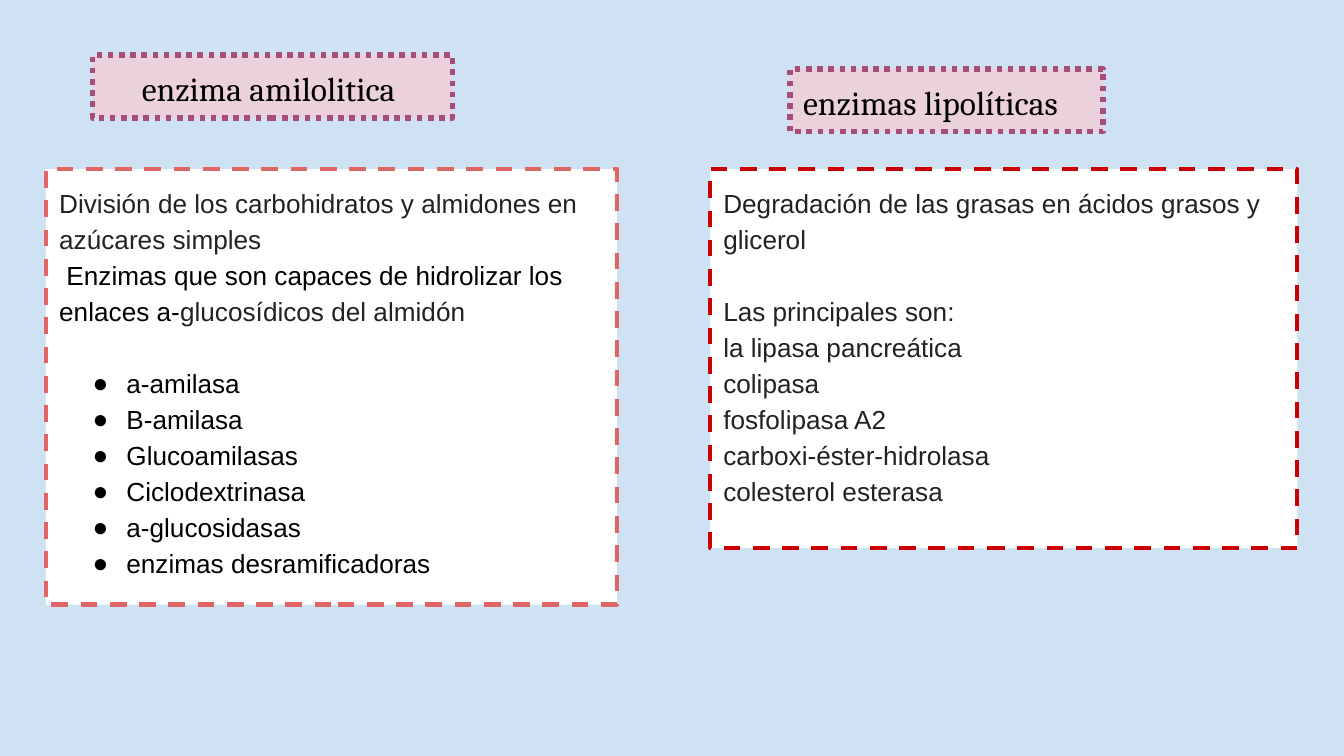
import pptx
import pptx.util
import pptx.dml.color
import pptx.enum.dml
import pptx.enum.shapes
import pptx.enum.text
import pptx.oxml.ns
from dataclasses import dataclass
from lxml import etree
from pptx.util import Cm, Pt

ALIGN = pptx.enum.text.PP_ALIGN
DASH = pptx.enum.dml.MSO_LINE


@dataclass(frozen=True)
class Theme:
    background: str = "CFE2F3"
    panel: str = "FFFFFF"
    label: str = "EAD1DC"
    label_line: str = "A64D79"
    starch_line: str = "E06666"
    fat_line: str = "CC0000"
    black: str = "000000"
    gray: str = "222222"
    title_font: str = "Cambria"
    body_font: str = "Arial"
    title_size: float = 18
    body_size: float = 14
    line_spacing: float = 1.15
    blank_line: float = 19.3


THEME = Theme()


def color(value):
    return pptx.dml.color.RGBColor.from_string(value)


def set_values(target, values):
    for name, value in values.items():
        setattr(target, name, value)


def add_box(slide, box, fill, line, width, dash):
    """Add a filled, outlined rectangle and return its text frame."""
    shape = slide.shapes.add_shape(
        pptx.enum.shapes.MSO_SHAPE.RECTANGLE, *(Cm(length) for length in box))
    shape.shadow.inherit = False
    shape.fill.solid()
    shape.fill.fore_color.rgb = color(fill)
    shape.line.color.rgb = color(line)
    set_values(shape.line, {"width": Pt(width), "dash_style": dash})
    margins = {f"margin_{side}": Cm(0.25) for side in ("left", "top", "right", "bottom")}
    set_values(shape.text_frame, {
        **margins, "word_wrap": True,
        "vertical_anchor": pptx.enum.text.MSO_ANCHOR.TOP})
    return shape.text_frame


def add_run(paragraph, text, font, size, text_color):
    run = paragraph.add_run()
    run.text = text
    set_values(run.font, {"name": font, "size": Pt(size)})
    run.font.color.rgb = color(text_color)


def add_bullet(paragraph):
    properties = paragraph._p.get_or_add_pPr()
    set_values_xml = {"marL": Cm(1.27), "indent": Cm(-0.64)}
    for name, value in set_values_xml.items():
        properties.set(name, str(int(value)))
    qualified = pptx.oxml.ns.qn
    bullet_color = etree.SubElement(properties, qualified("a:buClr"))
    etree.SubElement(bullet_color, qualified("a:srgbClr"), val=THEME.black)
    etree.SubElement(properties, qualified("a:buFont"), typeface=THEME.body_font)
    etree.SubElement(properties, qualified("a:buChar"), char="●")


def add_label(slide, box, text, alignment):
    frame = add_box(slide, box, THEME.label, THEME.label_line, 3, DASH.ROUND_DOT)
    paragraph = frame.paragraphs[0]
    paragraph.alignment = alignment
    add_run(paragraph, text, THEME.title_font, THEME.title_size, THEME.black)


def add_panel(slide, box, line, intro, items, bulleted=False):
    """Place intro paragraphs, a gap, then the list of enzymes."""
    frame = add_box(slide, box, THEME.panel, line, 2.25, DASH.DASH)
    item_color = THEME.black if bulleted else THEME.gray
    paragraphs = intro + [[(item, item_color)] for item in items]
    for index, runs in enumerate(paragraphs):
        paragraph = frame.add_paragraph() if index else frame.paragraphs[0]
        is_item = index >= len(intro)
        if bulleted and is_item:
            add_bullet(paragraph)
        set_values(paragraph, {
            "alignment": ALIGN.JUSTIFY if bulleted and is_item else ALIGN.LEFT,
            "line_spacing": THEME.line_spacing,
            "space_before": Pt(THEME.blank_line if index == len(intro) else 0)})
        for text, text_color in runs:
            add_run(paragraph, text, THEME.body_font, THEME.body_size, text_color)


def main():
    presentation = pptx.Presentation()
    set_values(presentation, {"slide_width": Cm(25.4), "slide_height": Cm(14.29)})
    slide = presentation.slides.add_slide(presentation.slide_layouts[6])
    slide.background.fill.solid()
    slide.background.fill.fore_color.rgb = color(THEME.background)

    # Starch enzymes
    add_panel(
        slide, (0.87, 3.2, 10.79, 8.23), THEME.starch_line,
        [[("División de los carbohidratos y almidones en azúcares simples", THEME.gray)],
         [(" Enzimas que son capaces de hidrolizar los enlaces a-", THEME.black),
          ("glucosídicos del almidón", THEME.gray)]],
        ["a-amilasa", "B-amilasa", "Glucoamilasas", "Ciclodextrinasa",
         "a-glucosidasas", "enzimas desramificadoras "],
        bulleted=True)
    add_label(slide, (1.75, 1.04, 6.8, 1.19), "enzima amilolitica ", ALIGN.CENTER)

    # Fat enzymes
    add_panel(
        slide, (13.42, 3.2, 11.1, 7.16), THEME.fat_line,
        [[("Degradación de las grasas en ácidos grasos y glicerol", THEME.gray)]],
        ["Las principales son:", "la lipasa pancreática", "colipasa",
         "fosfolipasa A2", "carboxi-éster-hidrolasa", "colesterol esterasa"])
    add_label(slide, (14.93, 1.3, 5.92, 1.19), "enzimas lipolíticas ", ALIGN.LEFT)

    presentation.save("out.pptx")


if __name__ == "__main__":
    main()
